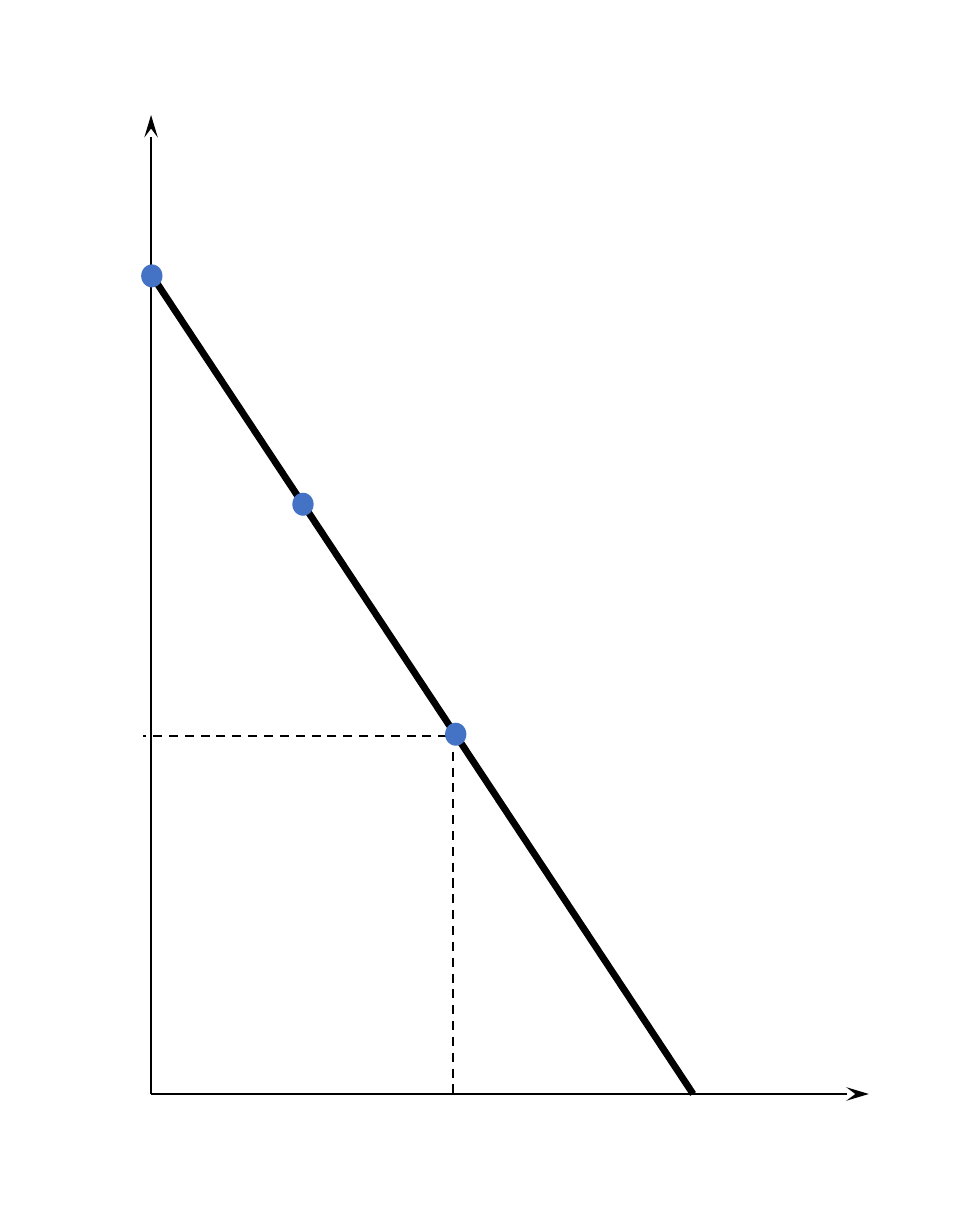
from lxml.etree import SubElement
from pptx import Presentation
from pptx.dml.color import RGBColor
from pptx.enum.dml import MSO_LINE
from pptx.enum.shapes import MSO_CONNECTOR, MSO_SHAPE
from pptx.oxml.ns import qn
from pptx.util import Inches, Pt

BLACK = RGBColor(0x00, 0x00, 0x00)
BLUE = RGBColor(0x44, 0x72, 0xC4)

CM_PER_INCH = 2.54
SLIDE_WIDTH_CM = 15

ORIGIN = (0.92, 6.66)
Y_AXIS_END = (0.92, 0.7)
X_AXIS_END = (5.29, 6.66)
SLOPE_START = (0.92, 1.67)
SLOPE_END = (4.22, 6.66)
POINT_POSITIONS = [(0.86, 1.61), (1.78, 3), (2.71, 4.4)]
POINT_WIDTH, POINT_HEIGHT = 0.13, 0.14


def add_line(slide, start, end, width=1, dashed=False, arrow=False):
    connector = slide.shapes.add_connector(
        MSO_CONNECTOR.STRAIGHT, *[Inches(value) for value in (*start, *end)])
    connector.line.color.rgb = BLACK
    connector.line.width = Pt(width)
    if dashed:
        connector.line.dash_style = MSO_LINE.DASH
    if arrow:
        SubElement(connector.line._get_or_add_ln(), qn("a:tailEnd"),
                   type="stealth", w="med", len="lg")
    SubElement(connector._element.spPr, qn("a:effectLst"))


def add_point(slide, position):
    left, top = position
    point = slide.shapes.add_shape(
        MSO_SHAPE.OVAL, Inches(left), Inches(top),
        Inches(POINT_WIDTH), Inches(POINT_HEIGHT))
    point.shadow.inherit = False
    point.fill.solid()
    point.fill.fore_color.rgb = BLUE
    point.line.fill.background()


def main():
    presentation = Presentation()
    presentation.slide_width = Inches(SLIDE_WIDTH_CM / CM_PER_INCH)
    presentation.slide_height = Inches(7.5)
    slide = presentation.slides.add_slide(presentation.slide_layouts[6])

    # Axes
    for axis_end in (Y_AXIS_END, X_AXIS_END):
        add_line(slide, ORIGIN, axis_end, arrow=True)

    # Sloping line
    add_line(slide, SLOPE_START, SLOPE_END, width=3)

    # Dashed guides to both axes
    add_line(slide, (2.82, 4.48), (0.87, 4.48), dashed=True)
    add_line(slide, (2.76, 4.48), (2.76, 6.66), dashed=True)

    # Points on the line
    for position in POINT_POSITIONS:
        add_point(slide, position)

    presentation.save("out.pptx")


if __name__ == "__main__":
    main()
